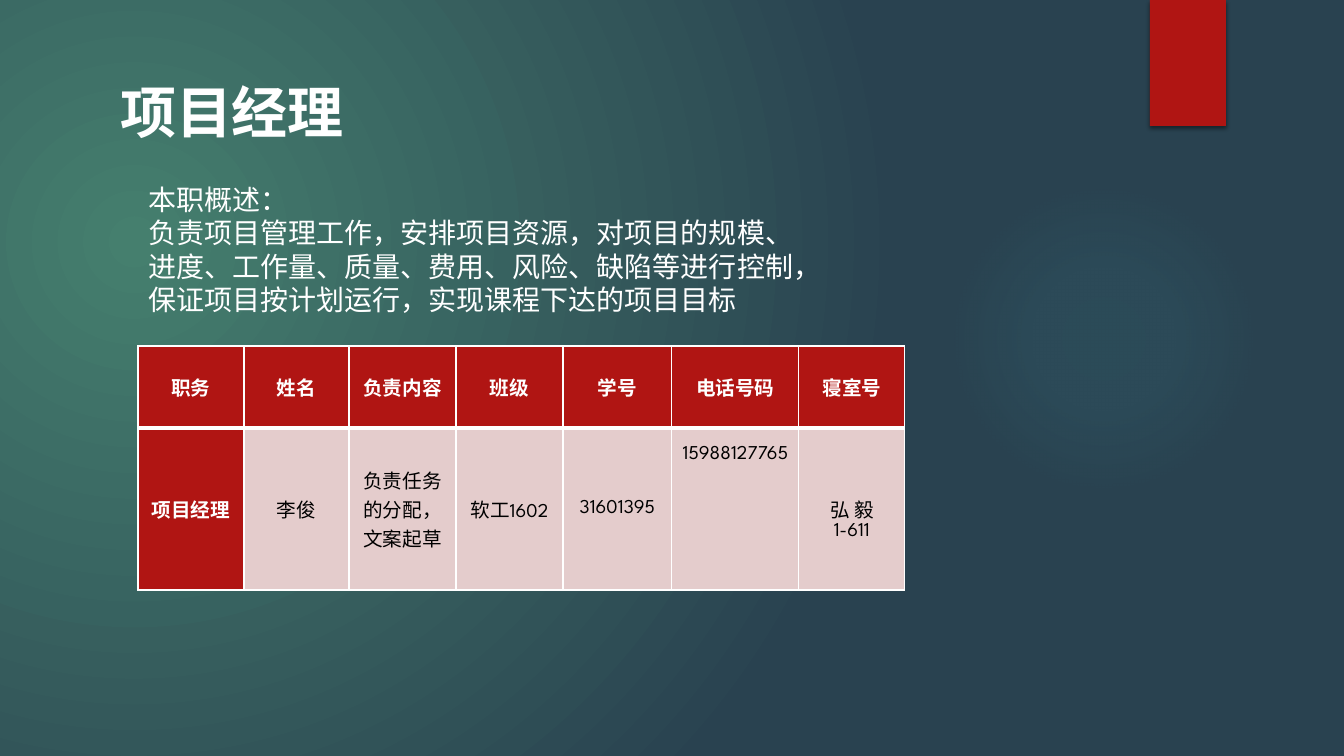
from dataclasses import dataclass

import pptx
import pptx.dml.color
import pptx.enum.shapes
import pptx.enum.text
import pptx.oxml
import pptx.oxml.ns
import pptx.util

EMU_PER_PX = 914400 / 100.8
COLORS = {
    "white": "FFFFFF", "black": "000000", "red": "B01513", "pink": "E4CCCC",
    "green": "457F6E", "navy": "294250", "glow": "50B9C1",
}
HEADING_FONT, BODY_FONT = "League Spartan", "Arial"
Align = pptx.enum.text.PP_ALIGN
Anchor = pptx.enum.text.MSO_ANCHOR
Shape = pptx.enum.shapes.MSO_SHAPE
NAMESPACE = pptx.oxml.ns.nsdecls("a")


@dataclass
class Box:
    left: int
    top: int
    width: int
    height: int

    def emu(self) -> tuple:
        return tuple(px(n) for n in (self.left, self.top, self.width, self.height))


@dataclass
class Style:
    font: str
    size: int
    color: str
    bold: bool = False
    align: Align = Align.LEFT
    line_height: int | None = None


@dataclass
class Stop:
    position: int
    color: str
    opacity: int = 100


@dataclass
class Column:
    width: int
    heading: str
    value: str
    value_style: Style
    fill: str = "pink"
    anchor: Anchor = Anchor.MIDDLE
    top_inset: int = 0


HEADER = Style(HEADING_FONT, 14, "white", True, Align.CENTER)
VALUE = Style(HEADING_FONT, 14, "black", False, Align.CENTER)
COLUMNS = [
    Column(106, "职务", "项目经理", HEADER, fill="red"),
    Column(105, "姓名", "李俊", VALUE),
    Column(107, "负责内容", "负责任务的分配，文案起草", VALUE),
    Column(107, "班级", "软工1602", VALUE),
    Column(109, "学号", "31601395", VALUE),
    Column(127, "电话号码", "15988127765", VALUE, anchor=Anchor.TOP, top_inset=18),
    Column(106, "寝室号", "弘 毅\n1-611", VALUE, top_inset=18),
]
ROW_HEIGHTS = [82, 162]
OVERVIEW = (
    "本职概述：\n负责项目管理工作，安排项目资源，对项目的规模、进度、工作量、质量、费用、"
    "风险、缺陷等进行控制，保证项目按计划运行，实现课程下达的项目目标"
)


def px(length: int) -> int:
    return round(length * EMU_PER_PX)


def rgb(name: str) -> pptx.dml.color.RGBColor:
    return pptx.dml.color.RGBColor.from_string(COLORS[name])


def set_gradient(properties, stops: list[Stop], focus: tuple) -> None:
    """Replace a solid fill by a circular gradient around the focus rectangle."""
    stop_xml = "".join(
        f'<a:gs pos="{stop.position * 1000}"><a:srgbClr val="{COLORS[stop.color]}">'
        f'<a:alpha val="{stop.opacity * 1000}"/></a:srgbClr></a:gs>'
        for stop in stops
    )
    edges = " ".join(f'{side}="{n * 1000}"' for side, n in zip("ltrb", focus))
    gradient = pptx.oxml.parse_xml(
        f'<a:gradFill {NAMESPACE} rotWithShape="1"><a:gsLst>{stop_xml}</a:gsLst>'
        f'<a:path path="circle"><a:fillToRect {edges}/></a:path></a:gradFill>'
    )
    solid = properties.find(pptx.oxml.ns.qn("a:solidFill"))
    properties.replace(solid, gradient)


def write(frame, text: str, style: Style) -> None:
    frame.text = text
    for para in frame.paragraphs:
        para.alignment = style.align
        para.space_before = para.space_after = pptx.util.Pt(0)
        if style.line_height:
            para.line_spacing = pptx.util.Pt(style.line_height)
        for span in para.runs:
            span.font.name = style.font
            span.font.size = pptx.util.Pt(style.size)
            span.font.bold = style.bold
            span.font.color.rgb = rgb(style.color)


def fill_placeholder(holder, box: Box, text: str, style: Style, wrap: bool) -> None:
    holder.left, holder.top, holder.width, holder.height = box.emu()
    frame = holder.text_frame
    write(frame, text, style)
    frame.word_wrap = wrap
    frame.auto_size = pptx.enum.text.MSO_AUTO_SIZE.NONE
    frame.vertical_anchor = Anchor.TOP
    for para in frame.paragraphs:
        properties = para._p.get_or_add_pPr()
        properties.set("marL", "0")
        properties.set("indent", "0")
        properties.append(pptx.oxml.parse_xml(f"<a:buNone {NAMESPACE}/>"))


def add_plain_shape(page, kind: Shape, box: Box, color: str):
    shape = page.shapes.add_shape(kind, *box.emu())
    shape.fill.solid()
    shape.fill.fore_color.rgb = rgb(color)
    shape.line.fill.background()
    shape.shadow.inherit = False
    return shape


def add_decoration(page) -> None:
    page.background.fill.solid()
    background = page.element.find(".//" + pptx.oxml.ns.qn("p:bgPr"))
    set_gradient(background, [Stop(0, "green"), Stop(100, "navy")], (45, 65, 125, 100))

    glow = add_plain_shape(page, Shape.OVAL, Box(949, 184, 310, 310), "glow")
    glow_stops = [Stop(0, "glow", 7), Stop(36, "glow", 6), Stop(69, "glow", 0)]
    set_gradient(glow._element.spPr, glow_stops, (50, 50, 50, 50))

    ribbon = add_plain_shape(page, Shape.RECTANGLE, Box(1150, 0, 76, 126), "red")
    effects = ribbon._element.spPr.find(pptx.oxml.ns.qn("a:effectLst"))
    effects.append(pptx.oxml.parse_xml(
        f'<a:outerShdw {NAMESPACE} blurRad="38100" dist="25400" dir="5400000">'
        f'<a:srgbClr val="{COLORS["black"]}"><a:alpha val="45000"/></a:srgbClr></a:outerShdw>'
    ))


def format_cell(cell, text: str, style: Style, fill: str, borders: dict[str, int]) -> None:
    """Write a cell; borders maps each side (L, R, T, B) to its width in points."""
    write(cell.text_frame, text, style)
    cell.vertical_anchor = Anchor.MIDDLE
    cell.margin_left = cell.margin_right = px(7)
    cell.margin_top = cell.margin_bottom = 0
    cell.fill.solid()
    cell.fill.fore_color.rgb = rgb(fill)
    properties = cell._tc.get_or_add_tcPr()
    for index, (side, width) in enumerate(borders.items()):
        properties.insert(index, pptx.oxml.parse_xml(
            f'<a:ln{side} {NAMESPACE} w="{pptx.util.Pt(width)}"><a:solidFill>'
            f'<a:srgbClr val="{COLORS["white"]}"/></a:solidFill></a:ln{side}>'
        ))


def add_staff_table(page) -> None:
    box = Box(138, 346, sum(column.width for column in COLUMNS), sum(ROW_HEIGHTS))
    table = page.shapes.add_table(len(ROW_HEIGHTS), len(COLUMNS), *box.emu()).table
    table.first_row = table.horz_banding = False
    for row, height in zip(table.rows, ROW_HEIGHTS):
        row.height = px(height)
    for index, column in enumerate(COLUMNS):
        table.columns[index].width = px(column.width)
        heading, value = table.cell(0, index), table.cell(1, index)
        format_cell(heading, column.heading, HEADER, "red", {"L": 1, "R": 1, "T": 1, "B": 3})
        format_cell(value, column.value, column.value_style, column.fill,
                    {"L": 1, "R": 1, "T": 3, "B": 1})
        value.vertical_anchor = column.anchor
        value.margin_top = px(column.top_inset)


def main() -> None:
    deck = pptx.Presentation()
    deck.slide_width, deck.slide_height = px(1344), px(756)
    page = deck.slides.add_slide(deck.slide_layouts[1])
    add_decoration(page)
    title, overview = page.placeholders
    fill_placeholder(title, Box(110, 72, 247, 78), "项目经理",
                     Style(HEADING_FONT, 40, "white", True, line_height=48), wrap=False)
    fill_placeholder(overview, Box(138, 177, 672, 146), OVERVIEW,
                     Style(BODY_FONT, 20, "white", line_height=24), wrap=True)
    add_staff_table(page)
    deck.save("out.pptx")


if __name__ == "__main__":
    main()
